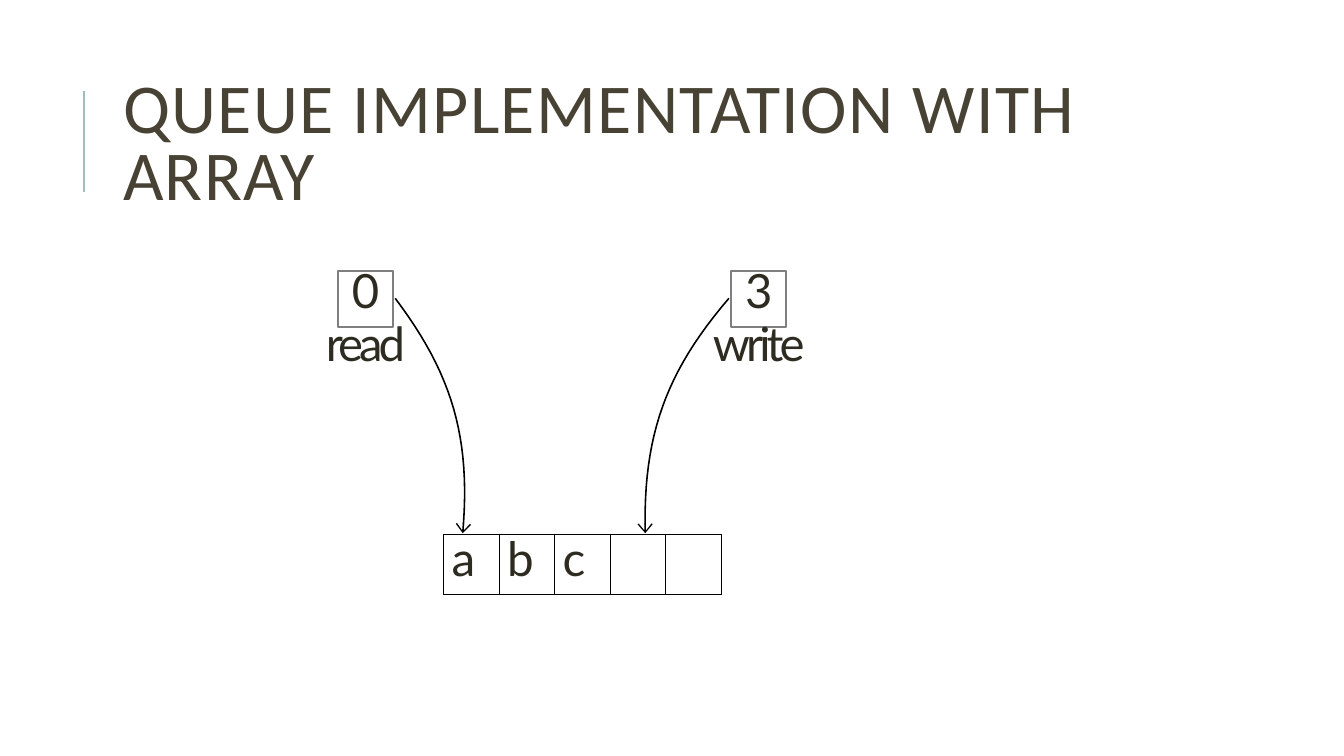
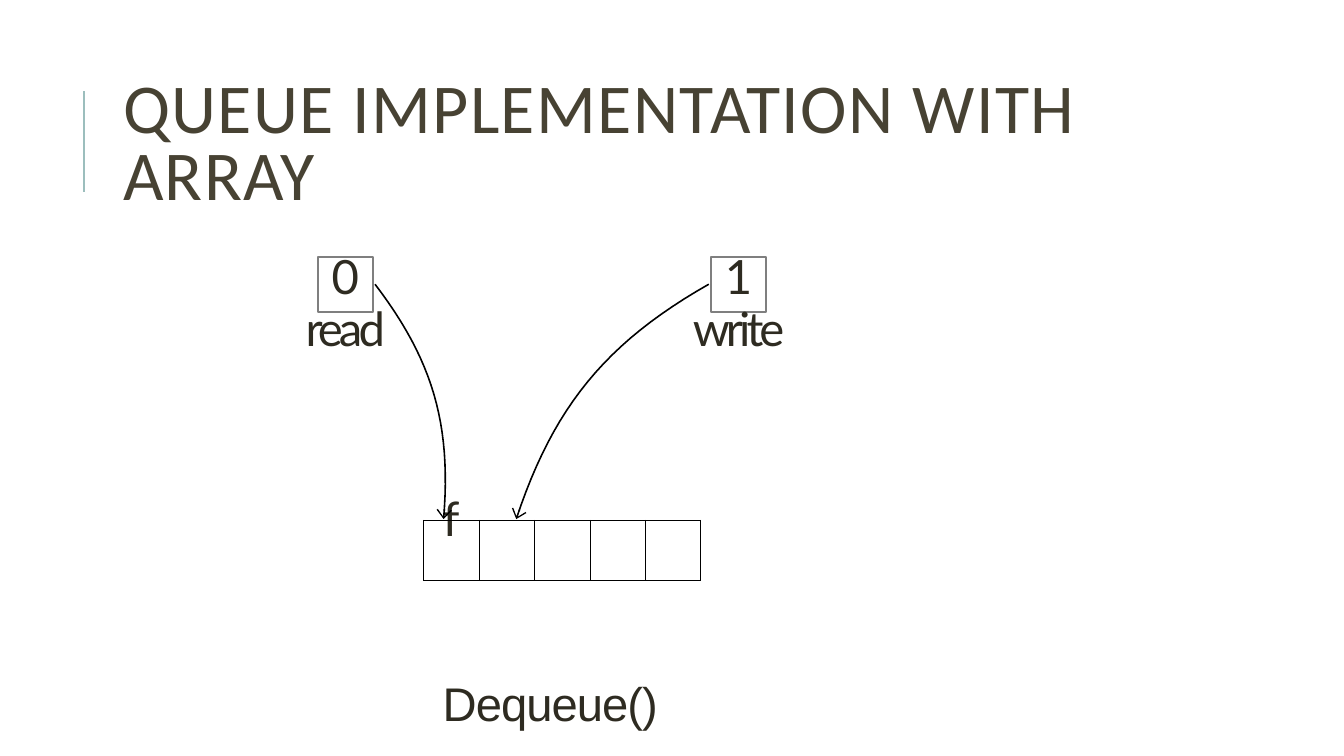
from math import atan2, cos, hypot, radians, sin

from lxml.etree import SubElement
from pptx import Presentation
from pptx.dml.color import RGBColor
from pptx.enum.shapes import MSO_CONNECTOR, MSO_SHAPE
from pptx.enum.text import MSO_ANCHOR, MSO_AUTO_SIZE, PP_ALIGN
from pptx.oxml.ns import qn
from pptx.util import Inches, Pt

TITLE = "QUEUE IMPLEMENTATION WITH ARRAY"
CELL_WIDTH = 0.55
CELL_HEIGHT = 0.6
CELL_COUNT = 5
BOX_SIZE = 0.55
BOX_DISTANCE = 3.9
ARROW_BEND = 21
ARROW_STEPS = 24


def color(value):
    return RGBColor.from_string(value)


class Deck:
    INK = "2E2B21"
    TITLE_INK = "474233"
    ACCENT = "9CBEBD"
    BOX_LINE = "7F7F7F"
    BLACK = "000000"
    BODY_FONT = "Lato"
    TITLE_FONT = "Calibri"
    CODE_FONT = "Arial"
    BODY_SIZE = 33.7
    LINE_HEIGHT = Pt(37.3)

    def __init__(self):
        self.presentation = Presentation()
        self.presentation.slide_width = Inches(13.33)
        self.presentation.slide_height = Inches(7.5)
        self.slide = None

    def add_slide(self, title):
        self.slide = self.presentation.slides.add_slide(self.presentation.slide_layouts[5])
        self.accent_line(0.83, 0.9, 1.9)
        shape = self.slide.shapes.title
        shape.left, shape.top = Inches(1.12), Inches(0.64)
        shape.width, shape.height = Inches(10.63), Inches(1.64)
        frame = shape.text_frame
        frame.word_wrap = True
        frame.auto_size = MSO_AUTO_SIZE.NONE
        frame.vertical_anchor = MSO_ANCHOR.MIDDLE
        paragraph = frame.paragraphs[0]
        paragraph.alignment = PP_ALIGN.LEFT
        paragraph.line_spacing = 0.8
        self.run(paragraph, title, 50, self.TITLE_FONT, self.TITLE_INK, 1)

    def run(self, paragraph, text, size=BODY_SIZE, font=BODY_FONT, ink=INK, tracking=0):
        run = paragraph.add_run()
        run.text = text
        run.font.size = Pt(size)
        run.font.name = font
        run.font.color.rgb = color(ink)
        if tracking:
            run._r.get_or_add_rPr().set("spc", str(round(tracking * 100)))

    def accent_line(self, x, top, bottom):
        connector = self.slide.shapes.add_connector(
            MSO_CONNECTOR.STRAIGHT, Inches(x), Inches(bottom), Inches(x), Inches(top))
        connector.line.color.rgb = color(self.ACCENT)
        connector.line.width = Pt(1.5)
        SubElement(connector._element.spPr, qn("a:effectLst"))

    def outline(self, shape, ink, width):
        shape.shadow.inherit = False
        shape.fill.background()
        shape.line.color.rgb = color(ink)
        shape.line.width = Pt(width)

    def text_frame(self, left, top, width, height):
        frame = self.slide.shapes.add_textbox(
            Inches(left), Inches(top), Inches(width), Inches(height)).text_frame
        frame.word_wrap = True
        frame.margin_left = frame.margin_right = frame.margin_top = frame.margin_bottom = 0
        return frame

    def index_box(self, left, top, value, name):
        box = self.slide.shapes.add_shape(
            MSO_SHAPE.RECTANGLE, Inches(left), Inches(top), Inches(BOX_SIZE), Inches(BOX_SIZE))
        self.outline(box, self.BOX_LINE, 1.42)
        width = 0.98
        frame = self.text_frame(left + (BOX_SIZE - width) / 2, top - 0.08, width, 1.1)
        frame.margin_top = Inches(0.03)
        paragraphs = [frame.paragraphs[0], frame.add_paragraph()]
        paragraphs[0].space_before = Pt(2.4)
        for paragraph, text, tracking in zip(paragraphs, (value, name), (-1.7, -2.8)):
            paragraph.alignment = PP_ALIGN.CENTER
            paragraph.line_spacing = self.LINE_HEIGHT
            self.run(paragraph, text, tracking=tracking)

    def call_label(self, left, top, text):
        paragraph = self.text_frame(left, top, 2.19, 0.52).paragraphs[0]
        paragraph.line_spacing = self.LINE_HEIGHT
        self.run(paragraph, text, font=self.CODE_FONT, tracking=-0.7)

    def cell_border(self, cell):
        properties = cell._tc.get_or_add_tcPr()
        for index, side in enumerate(("lnL", "lnR", "lnT", "lnB")):
            line = properties.makeelement(qn(f"a:{side}"), {"w": str(Pt(0.5))})
            fill = SubElement(line, qn("a:solidFill"))
            SubElement(fill, qn("a:srgbClr"), val=self.BLACK)
            properties.insert(index, line)

    def array(self, left, top, values, alignment, margin_left, margin_top):
        table = self.slide.shapes.add_table(
            1, CELL_COUNT, Inches(left), Inches(top),
            Inches(CELL_WIDTH * CELL_COUNT), Inches(CELL_HEIGHT)).table
        table.first_row = table.horz_banding = False
        table.rows[0].height = Inches(CELL_HEIGHT)
        for index in range(CELL_COUNT):
            table.columns[index].width = Inches(CELL_WIDTH)
            cell = table.cell(0, index)
            cell.fill.background()
            self.cell_border(cell)
            cell.margin_left = Inches(margin_left)
            cell.margin_top = Inches(margin_top)
            cell.margin_right = cell.margin_bottom = 0
            if index < len(values):
                paragraph = cell.text_frame.paragraphs[0]
                paragraph.alignment = alignment
                paragraph.line_spacing = Pt(18.8)
                self.run(paragraph, values[index], 34)

    def curved_arrow(self, start, end, bend):
        heading = atan2(end[1] - start[1], end[0] - start[0])
        reach = 0.39 * hypot(end[0] - start[0], end[1] - start[1])
        leave, arrive = heading + radians(bend), heading - radians(bend)
        controls = (
            start,
            (start[0] + reach * cos(leave), start[1] + reach * sin(leave)),
            (end[0] - reach * cos(arrive), end[1] - reach * sin(arrive)),
            end,
        )
        points = []
        for step in range(ARROW_STEPS + 1):
            t = step / ARROW_STEPS
            weights = ((1 - t) ** 3, 3 * t * (1 - t) ** 2, 3 * t ** 2 * (1 - t), t ** 3)
            points.append(tuple(
                Inches(sum(weight * control[axis] for weight, control in zip(weights, controls)))
                for axis in (0, 1)))
        builder = self.slide.shapes.build_freeform(*points[0])
        builder.add_line_segments(points[1:], close=False)
        shape = builder.convert_to_shape()
        self.outline(shape, self.BLACK, 1.13)
        SubElement(shape.line._get_or_add_ln(), qn("a:tailEnd"), type="arrow", w="lg", len="med")

    def queue(self, left, top, read, write, values, read_tip, write_tip,
              alignment=PP_ALIGN.LEFT, margin_left=0, margin_top=0):
        write_left = left + BOX_DISTANCE
        array_left, array_top = left + 1.05, top + 2.61
        self.index_box(left, top, read, "read")
        self.index_box(write_left, top, write, "write")
        self.array(array_left, array_top, values, alignment, margin_left, margin_top)
        start_y, tip_y = top + 0.27, array_top - 0.01
        self.curved_arrow((left + BOX_SIZE + 0.02, start_y),
                          (array_left + read_tip, tip_y), -ARROW_BEND)
        self.curved_arrow((write_left - 0.02, start_y),
                          (array_left + write_tip, tip_y), ARROW_BEND)

    def save(self):
        self.presentation.save("out.pptx")


def main():
    deck = Deck()
    deck.add_slide(TITLE)
    deck.queue(3.35, 2.69, "0", "3", "abc", 0.19, 2, margin_left=0.08, margin_top=0.26)
    deck.add_slide(TITLE)
    deck.queue(3.15, 2.55, "0", "1", "f", 0.2, 0.92, alignment=PP_ALIGN.CENTER)
    deck.call_label(4.39, 6.73, "Dequeue()")
    deck.save()


if __name__ == "__main__":
    main()
